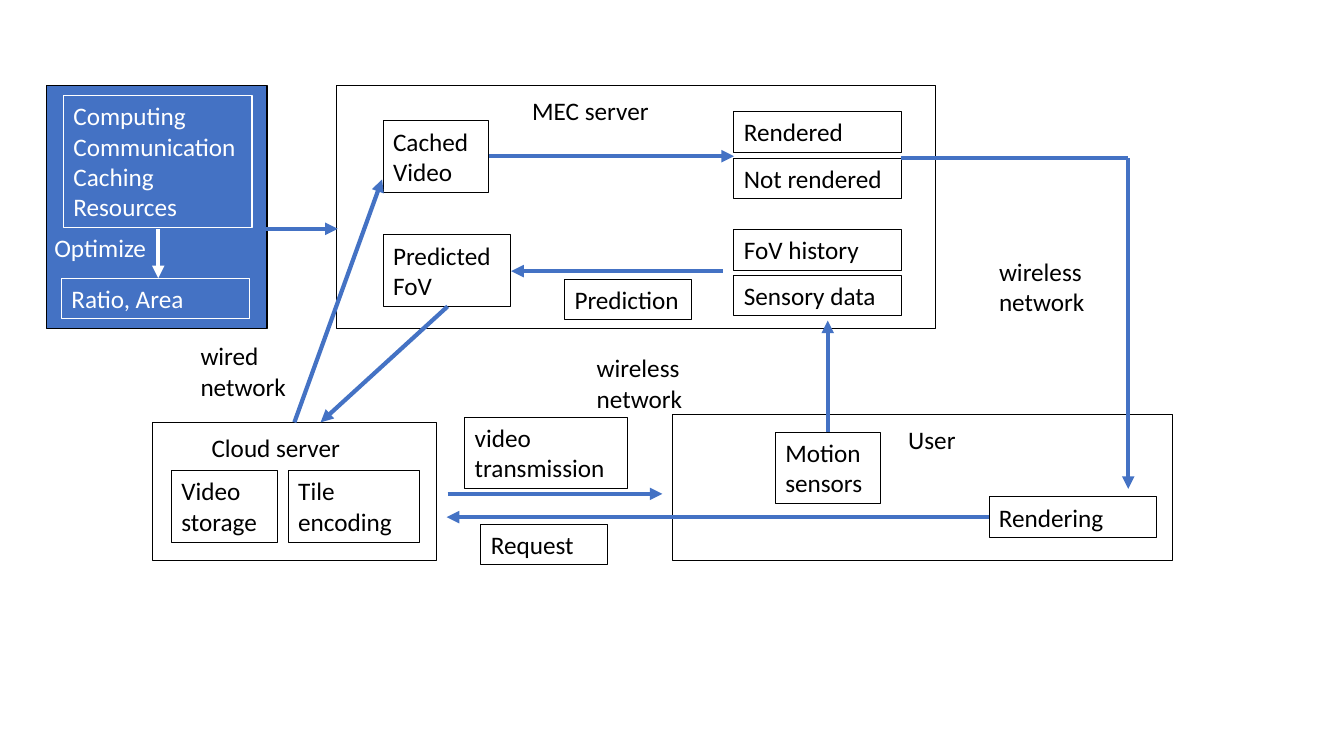
import pptx
import pptx.util
import pptx.dml.color
import pptx.enum.shapes
import pptx.enum.text
import lxml.etree
from pptx.oxml.ns import qn

Inches = pptx.util.Inches
Pt = pptx.util.Pt
RGBColor = pptx.dml.color.RGBColor

BLACK = RGBColor(0x00, 0x00, 0x00)
WHITE = RGBColor(0xFF, 0xFF, 0xFF)
BLUE = RGBColor(0x44, 0x72, 0xC4)

ONE_LINE = 0.4
TWO_LINES = 0.71

PANELS = [
    (1.51, 4.19, 2.82, 1.37, WHITE),
    (6.67, 4.11, 4.96, 1.45, WHITE),
    (3.34, 0.85, 5.94, 2.41, WHITE),
    (0.46, 0.85, 2.19, 2.41, BLUE),
]

LABELS = [
    ("Cloud server", 2, 4.24, 2.1, ONE_LINE, BLACK),
    ("MEC server", 5.18, 0.9, 2.1, ONE_LINE, BLACK),
    ("User", 8.91, 4.16, 2.1, ONE_LINE, BLACK),
    ("wired network", 1.89, 3.33, 1.31, TWO_LINES, BLACK),
    ("wireless network", 9.81, 2.49, 1.31, TWO_LINES, BLACK),
    ("wireless network", 5.82, 3.45, 1.31, TWO_LINES, BLACK),
    ("Optimize", 0.44, 2.26, 1.12, ONE_LINE, WHITE),
]

BOXES = [
    ("Tile encoding", 2.86, 4.67, 1.3, TWO_LINES, BLACK),
    ("Video storage", 1.7, 4.67, 1.05, TWO_LINES, BLACK),
    ("Cached Video", 3.8, 1.2, 1.05, TWO_LINES, BLACK),
    ("FoV history", 7.28, 2.28, 1.66, ONE_LINE, BLACK),
    ("Sensory data", 7.28, 2.73, 1.66, ONE_LINE, BLACK),
    ("Prediction", 5.6, 2.77, 1.26, ONE_LINE, BLACK),
    ("Predicted FoV", 3.8, 2.33, 1.26, TWO_LINES, BLACK),
    ("Rendered", 7.28, 1.11, 1.66, ONE_LINE, BLACK),
    ("Not rendered", 7.28, 1.57, 1.66, ONE_LINE, BLACK),
    ("Rendering", 9.81, 4.93, 1.66, ONE_LINE, BLACK),
    ("Request", 4.77, 5.2, 1.26, ONE_LINE, BLACK),
    ("video transmission", 4.61, 4.14, 1.61, TWO_LINES, BLACK),
    ("Motion sensors", 7.69, 4.29, 1.04, TWO_LINES, BLACK),
    ("Computing Communication\vCaching\nResources", 0.63, 0.95, 1.87, 1.31, WHITE),
    ("Ratio, Area", 0.61, 2.76, 1.87, ONE_LINE, WHITE),
]

ARROWS = [
    (2.92, 4.19, 3.79, 1.78, BLUE),
    (4.44, 3.04, 3.18, 4.19, BLUE),
    (7.17, 2.69, 5.07, 2.69, BLUE),
    (4.85, 1.55, 7.28, 1.55, BLUE),
    (11.19, 1.57, 11.19, 4.85, BLUE),
    (9.81, 5.13, 4.43, 5.13, BLUE),
    (4.44, 4.9, 6.57, 4.9, BLUE),
    (8.21, 4.29, 8.21, 3.18, BLUE),
    (1.57, 2.27, 1.57, 2.76, WHITE),
    (2.59, 2.27, 3.35, 2.27, BLUE),
]


def add_panel(s, x, y, w, h, fill):
    sp = s.shapes.add_shape(pptx.enum.shapes.MSO_SHAPE.RECTANGLE,
                            Inches(x), Inches(y), Inches(w), Inches(h))
    sp.shadow.inherit = False
    sp.fill.solid()
    sp.fill.fore_color.rgb = fill
    sp.line.color.rgb = BLACK
    sp.line.width = Pt(1)


def add_label(s, text, x, y, w, h, color):
    sp = s.shapes.add_textbox(Inches(x), Inches(y), Inches(w), Inches(h))
    tf = sp.text_frame
    tf.word_wrap = True
    tf.auto_size = pptx.enum.text.MSO_AUTO_SIZE.SHAPE_TO_FIT_TEXT
    tf.text = text
    for p in tf.paragraphs:
        for r in p.runs:
            r.font.name = "Calibri"
            r.font.size = Pt(18)
            r.font.color.rgb = color
    return sp


def add_box(s, text, x, y, w, h, color):
    sp = add_label(s, text, x, y, w, h, color)
    sp.line.color.rgb = color
    sp.line.width = Pt(0.75)


def add_line(s, x1, y1, x2, y2, color):
    cxn = s.shapes.add_connector(pptx.enum.shapes.MSO_CONNECTOR.STRAIGHT,
                                 Inches(x1), Inches(y1), Inches(x2), Inches(y2))
    cxn.line.color.rgb = color
    cxn.line.width = Pt(3)
    lxml.etree.SubElement(cxn._element.spPr, qn("a:effectLst"))
    return cxn


def add_arrow(s, x1, y1, x2, y2, color):
    cxn = add_line(s, x1, y1, x2, y2, color)
    ln = cxn.line._get_or_add_ln()
    lxml.etree.SubElement(ln, qn("a:tailEnd"), type="triangle")


def main():
    prs = pptx.Presentation()
    prs.slide_width = Inches(13.33)
    prs.slide_height = Inches(7.5)
    s = prs.slides.add_slide(prs.slide_layouts[6])
    for panel in PANELS:
        add_panel(s, *panel)
    for label in LABELS:
        add_label(s, *label)
    for box in BOXES:
        add_box(s, *box)
    add_line(s, 8.94, 1.57, 11.19, 1.57, BLUE)
    for arrow in ARROWS:
        add_arrow(s, *arrow)
    prs.save("out.pptx")


main()
